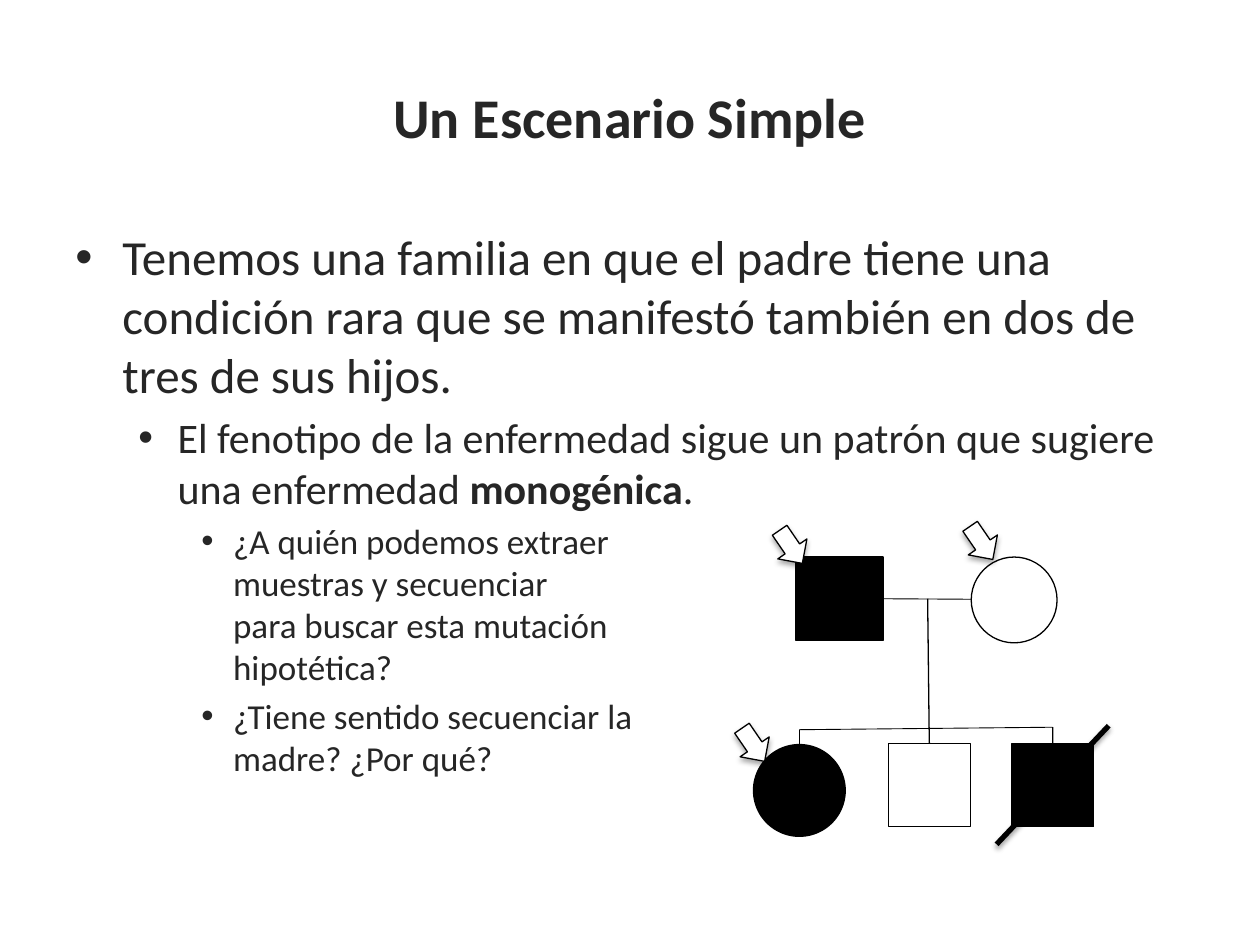
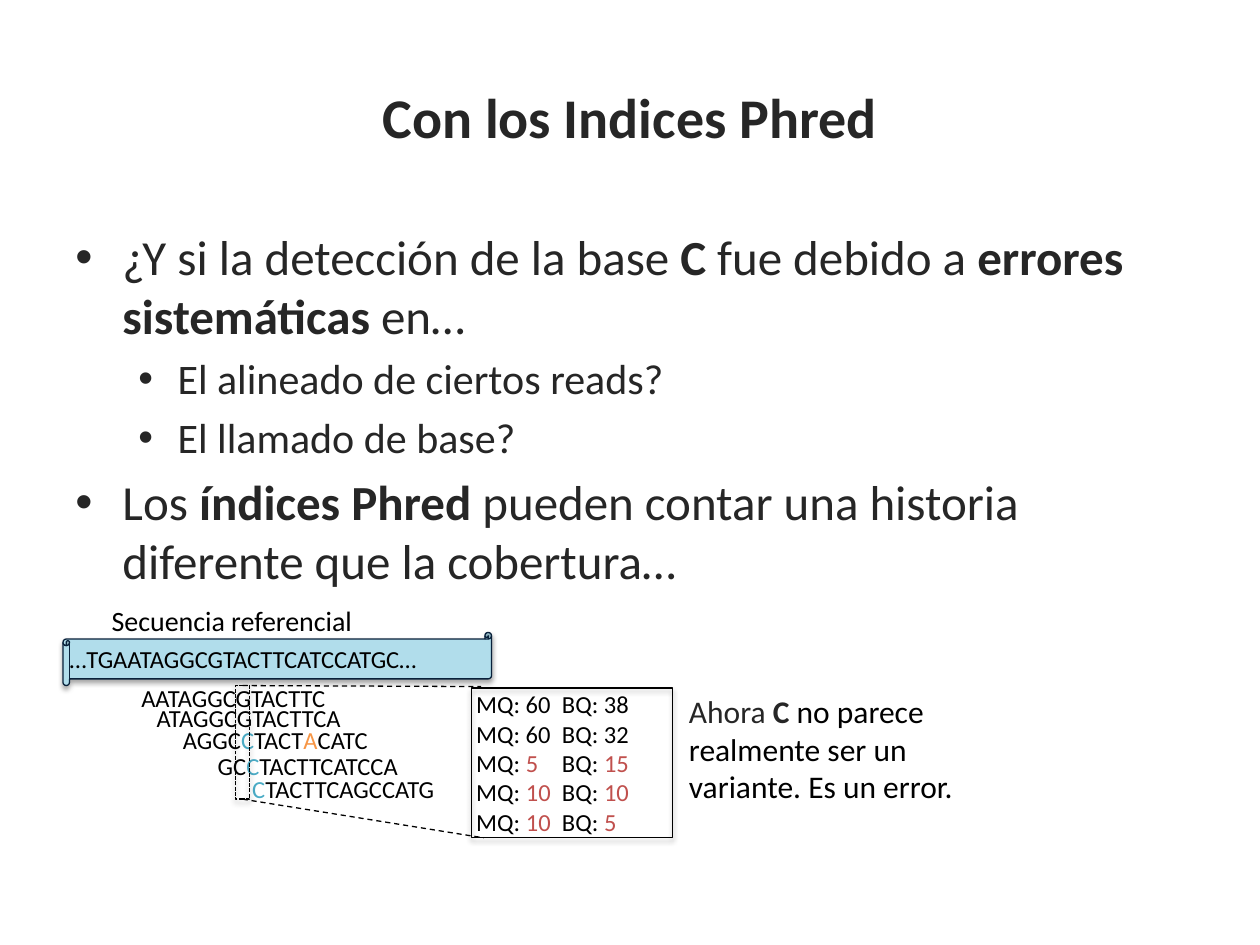
from lxml import etree
from pptx import Presentation
from pptx.dml.color import RGBColor
from pptx.enum.dml import MSO_LINE
from pptx.enum.shapes import MSO_CONNECTOR, MSO_SHAPE
from pptx.enum.text import MSO_ANCHOR, PP_ALIGN
from pptx.oxml.ns import qn
from pptx.util import Cm, Pt

RECT, OVAL = MSO_SHAPE.RECTANGLE, MSO_SHAPE.OVAL
ARROW, SCROLL = MSO_SHAPE.RIGHT_ARROW, MSO_SHAPE.HORIZONTAL_SCROLL
STRAIGHT = MSO_CONNECTOR.STRAIGHT
DASH, SYS_DASH = MSO_LINE.DASH, MSO_LINE.SQUARE_DOT
LEFT, CENTER, MIDDLE = PP_ALIGN.LEFT, PP_ALIGN.CENTER, MSO_ANCHOR.MIDDLE
TOP_SIDE, BOTTOM_SIDE, RIGHT_SIDE = 0, 2, 3

FONT = "Calibri"
INK, BLACK, WHITE = "262626", "000000", "FFFFFF"
VARIANT, MISMATCH, LOW_QUALITY = "4BACC6", "F79646", "C0504D"
SCROLL_FILL, SCROLL_LINE = "B1DDEB", "09213B"

# level: size, left margin, hanging indent
LEVELS = [(28, 0.95, 0.95), (24, 2.06, 0.79), (20, 3.18, 0.64)]


def rgb(value):
    return RGBColor.from_string(value)


def style_font(font, size, color=BLACK, bold=None):
    font.name = FONT
    font.size = Pt(size)
    font.bold = bold
    font.color.rgb = rgb(color)


def add_runs(paragraph, parts):
    for part in parts:
        text, color, bold = part if isinstance(part, tuple) else (part, None, None)
        for number, line in enumerate(text.split("\n")):
            if number:
                paragraph.add_line_break()
            run = paragraph.add_run()
            run.text = line
            if color:
                run.font.color.rgb = rgb(color)
            if bold:
                run.font.bold = True


def strong(text):
    return text, None, True


def tinted(text, color):
    return text, color, None


def add_text(slide, box, paragraphs, size, align=LEFT, inset=None, tab=None):
    frame = slide.shapes.add_textbox(*map(Cm, box)).text_frame
    frame.word_wrap = True
    if inset is not None:
        frame.margin_left = frame.margin_right = Cm(inset)
        frame.margin_top = frame.margin_bottom = Cm(inset)
    for number, parts in enumerate(paragraphs):
        paragraph = frame.add_paragraph() if number else frame.paragraphs[0]
        paragraph.alignment = align
        if tab:
            stops = etree.SubElement(paragraph._p.get_or_add_pPr(), qn("a:tabLst"))
            etree.SubElement(stops, qn("a:tab"), pos=str(Cm(tab)), algn="l")
        style_font(paragraph.font, size)
        add_runs(paragraph, parts)


def add_bullets(slide, items):
    frame = slide.shapes.add_textbox(Cm(1.27), Cm(4.45), Cm(22.86), Cm(12.57)).text_frame
    frame.word_wrap = True
    for number, (level, *parts) in enumerate(items):
        paragraph = frame.add_paragraph() if number else frame.paragraphs[0]
        size, margin, hanging = LEVELS[level]
        paragraph.level = level
        properties = paragraph._p.get_or_add_pPr()
        properties.set("marL", str(Cm(margin)))
        properties.set("indent", str(-Cm(hanging)))
        etree.SubElement(properties, qn("a:buFont"), typeface="Arial")
        etree.SubElement(properties, qn("a:buChar"), char="•")
        if number:
            paragraph.space_before = Pt(size * 0.2)
        style_font(paragraph.font, size, INK)
        add_runs(paragraph, parts)


def add_shadow(effects, alpha=35, distance=1.8):
    shadow = etree.SubElement(
        effects, qn("a:outerShdw"), blurRad=str(Pt(3.1)), dist=str(Pt(distance)),
        dir="5400000", rotWithShape="0")
    color = etree.SubElement(shadow, qn("a:srgbClr"), val=BLACK)
    etree.SubElement(color, qn("a:alpha"), val=str(alpha * 1000))


def add_figure(slide, kind, box, fill=None, line=BLACK, dash=None, shadow=False):
    figure = slide.shapes.add_shape(kind, *map(Cm, box))
    figure.shadow.inherit = False
    if fill:
        figure.fill.solid()
        figure.fill.fore_color.rgb = rgb(fill)
    else:
        figure.fill.background()
    figure.line.color.rgb = rgb(line)
    figure.line.width = Pt(0.75)
    if dash:
        figure.line.dash_style = dash
    if shadow:
        add_shadow(figure._element.spPr.find(qn("a:effectLst")))
    return figure


def add_line(slide, start, end, width=0.75, dash=None, begin=None, finish=None):
    line = slide.shapes.add_connector(STRAIGHT, *map(Cm, start + end))
    line.line.color.rgb = rgb(BLACK)
    line.line.width = Pt(width)
    if dash:
        line.line.dash_style = dash
    if begin:
        line.begin_connect(*begin)
    if finish:
        line.end_connect(*finish)
    return etree.SubElement(line._element.spPr, qn("a:effectLst"))


def add_titled_slide(deck, text):
    slide = deck.slides.add_slide(deck.slide_layouts[5])
    title = slide.shapes.title
    title.left, title.top, title.width, title.height = map(Cm, (1.27, 0.76, 22.86, 3.18))
    title.text_frame.text = text
    title.text_frame.vertical_anchor = MIDDLE
    heading = title.text_frame.paragraphs[0]
    heading.alignment = CENTER
    style_font(heading.font, 32, INK, True)
    return slide


def draw_pedigree(slide):
    father = add_figure(slide, RECT, (16.05, 11.23, 1.75, 1.68), BLACK)
    add_figure(slide, OVAL, (19.58, 11.23, 1.73, 1.73))
    add_figure(slide, OVAL, (15.19, 15.01, 1.85, 1.85), BLACK)
    healthy_son = add_figure(slide, RECT, (17.91, 14.99, 1.65, 1.68))
    deceased_son = add_figure(slide, RECT, (20.4, 14.99, 1.65, 1.68), BLACK)

    add_line(slide, (17.8, 12.07), (19.58, 12.08), 0.5, begin=(father, RIGHT_SIDE))
    add_line(slide, (18.7, 12.07), (18.73, 14.7))
    add_line(slide, (16.11, 14.71), (21.22, 14.66), 0.5)
    add_line(slide, (16.11, 14.71), (16.11, 15.01))
    add_line(slide, (18.73, 14.68), (18.73, 14.99), finish=(healthy_son, TOP_SIDE))
    add_line(slide, (21.22, 14.66), (21.22, 14.99), finish=(deceased_son, TOP_SIDE))
    death_mark = add_line(slide, (22.35, 14.63), (20.09, 17.02), 3)
    add_shadow(death_mark, 38, 1.6)

    for left, top in ((14.78, 14.66), (15.54, 10.67), (19.38, 10.59)):
        sampled = add_figure(slide, ARROW, (left, top, 0.81, 0.71), WHITE, shadow=True)
        sampled.rotation = 55.6


def draw_reads(slide):
    variant = tinted("C", VARIANT)
    reads = [
        (2.46, 14.05, 5.11, ["ATAGGCGTACTTCA"]),
        (3.1, 14.5, 4.9, ["AGGC", variant, "TACT", tinted("A", MISMATCH), "CATC"]),
        (4.11, 15.01, 4.19, ["GC", variant, "TACTTCATCCA"]),
        (4.8, 15.47, 4.24, [variant, "TACTTCAGCCATG"]),
        (2.18, 13.64, 5.05, ["AATAGGCGTACTTC"]),
    ]
    for left, top, width, bases in reads:
        add_text(slide, (left, top, width, 0.86), [bases], 14, CENTER)


def draw_qualities(slide):
    scores = [(60, 38), (60, 32), (5, 15), (10, 10), (10, 5)]
    rows = []
    for mapping, base in scores:
        color = LOW_QUALITY if mapping < 20 else None
        rows.append(["MQ: ", tinted(str(mapping), color), "\tBQ: ", tinted(str(base), color)])
    add_text(slide, (9.35, 13.77, 4.22, 3.25), rows, 14, tab=1.73)

    position = add_figure(slide, RECT, (4.75, 13.82, 0.28, 2.29), dash=SYS_DASH, shadow=True)
    add_line(slide, (4.88, 13.82), (9.7, 13.84), dash=DASH, begin=(position, TOP_SIDE))
    add_line(slide, (4.88, 16.1), (9.75, 16.89), dash=DASH, begin=(position, BOTTOM_SIDE))
    add_figure(slide, RECT, (9.5, 13.87, 4.06, 3.02), shadow=True)


def draw_reference(slide):
    reference = add_figure(
        slide, SCROLL, (1.27, 12.75, 8.64, 1.07), SCROLL_FILL, SCROLL_LINE, shadow=True)
    frame = reference.text_frame
    frame.word_wrap = True
    frame.vertical_anchor = MIDDLE
    frame.margin_left = frame.margin_right = 0
    sequence = frame.paragraphs[0]
    sequence.alignment = LEFT
    style_font(sequence.font, 14)
    add_runs(sequence, [tinted("…TGAATAGGCGTACTTCATCCATGC…", BLACK)])
    add_text(slide, (1.35, 12.17, 6.65, 0.69), [["Secuencia referencial"]], 16, CENTER, inset=0)


def build_scenario(deck):
    slide = add_titled_slide(deck, "Un Escenario Simple")
    add_bullets(slide, [
        (0, "Tenemos una familia en que el padre tiene una condición rara "
            "que se manifestó también en dos de tres de sus hijos."),
        (1, "El fenotipo de la enfermedad sigue un patrón que sugiere una enfermedad ",
         strong("monogénica"), "."),
        (2, "¿A quién podemos extraer\nmuestras y secuenciar \n"
            "para buscar esta mutación \nhipotética?"),
        (2, "¿Tiene sentido secuenciar la \nmadre? ¿Por qué?"),
    ])
    draw_pedigree(slide)


def build_phred(deck):
    slide = add_titled_slide(deck, "Con los Indices Phred")
    add_bullets(slide, [
        (0, "¿Y si la detección de la base ", strong("C"), " fue debido a ",
         strong("errores sistemáticas "), "en…"),
        (1, "El alineado de ciertos reads?"),
        (1, "El llamado de base?"),
        (0, "Los ", strong("índices Phred "),
         "pueden contar una historia diferente que la cobertura…"),
    ])
    draw_reads(slide)
    draw_qualities(slide)
    conclusion = [tinted("Ahora", INK), (" C", INK, True),
                  " no parece realmente ser un variante. Es un error."]
    add_text(slide, (13.64, 13.82, 7.01, 2.57), [conclusion], 18)
    draw_reference(slide)


def main():
    deck = Presentation()
    deck.slide_width, deck.slide_height = Cm(25.4), Cm(19.05)
    build_scenario(deck)
    build_phred(deck)
    deck.save("out.pptx")


if __name__ == "__main__":
    main()
